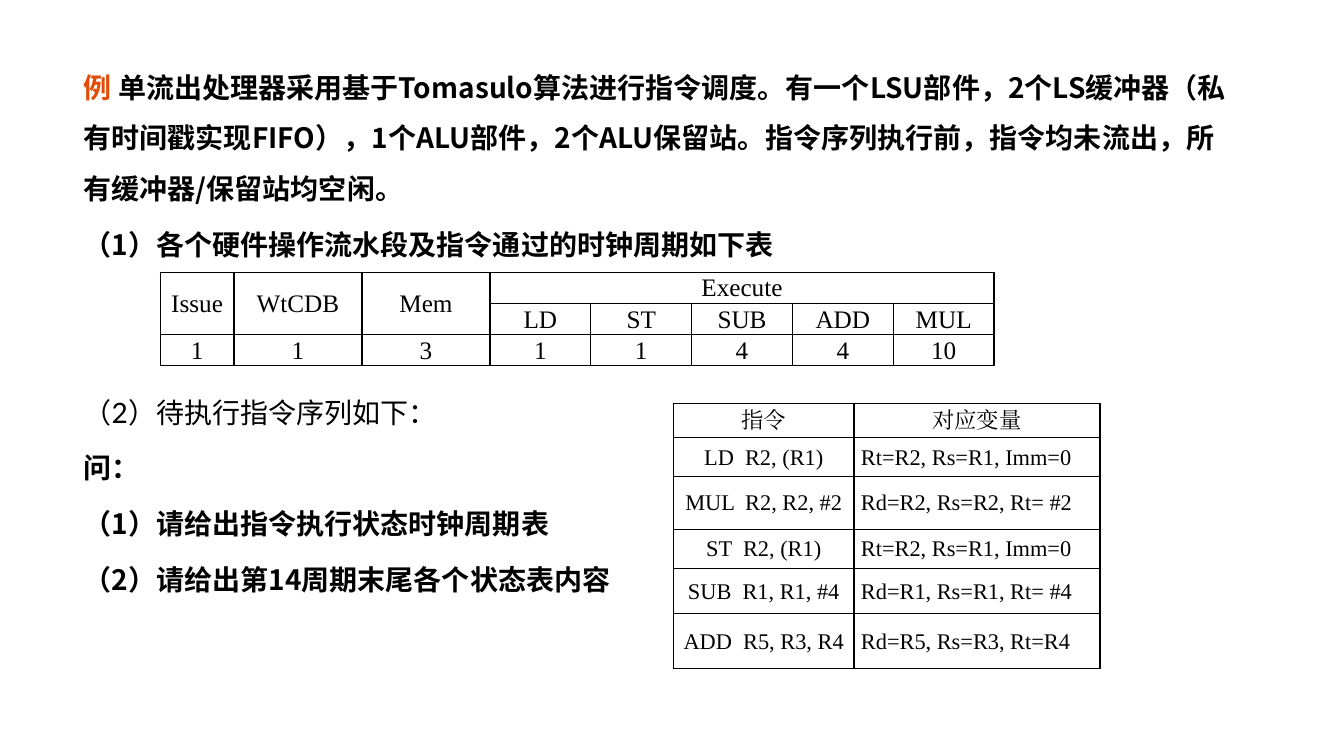
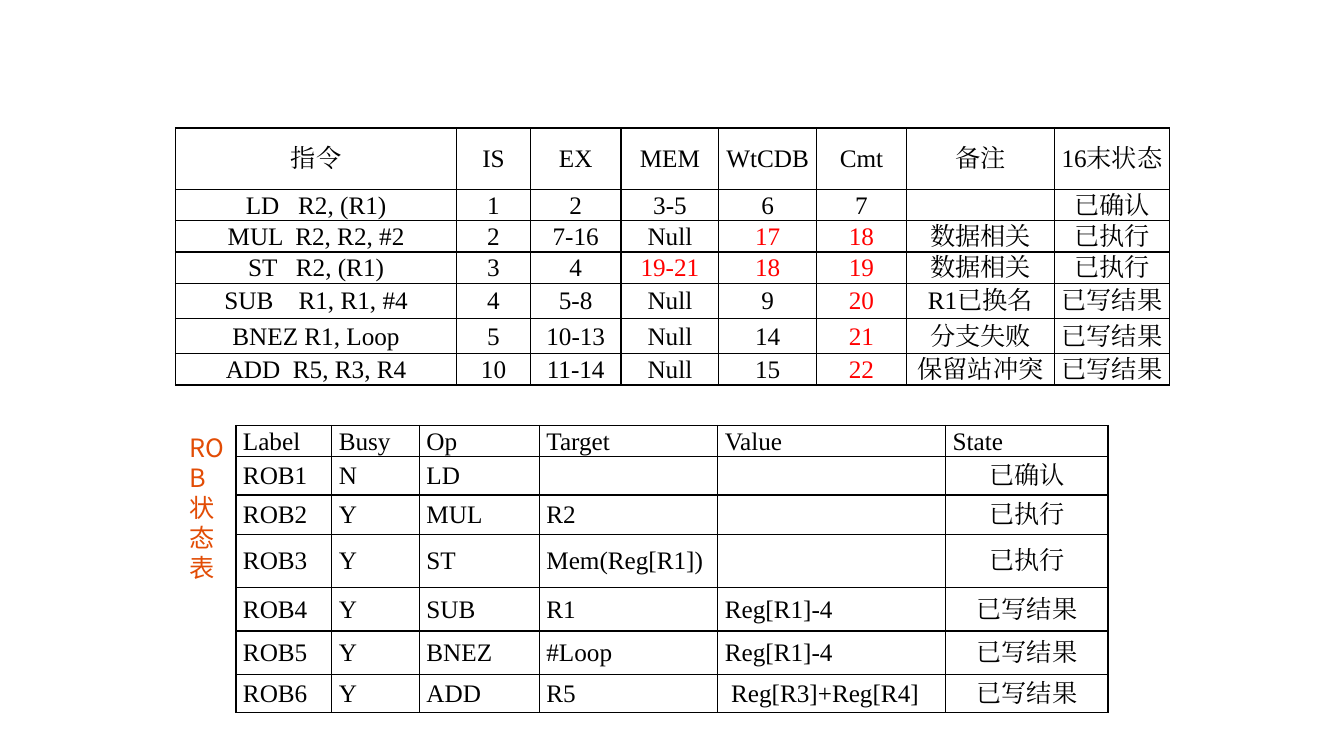
import dataclasses

import lxml.etree
import pptx
import pptx.dml.color
import pptx.enum.text
import pptx.oxml.ns
import pptx.util

Inches = pptx.util.Inches
Pt = pptx.util.Pt
qn = pptx.oxml.ns.qn
Align = pptx.enum.text.PP_ALIGN
Anchor = pptx.enum.text.MSO_ANCHOR


@dataclasses.dataclass(frozen=True)
class Theme:
    black: str = "000000"
    accent: str = "E24C05"
    late: str = "FF0000"
    text_font: str = "Noto Sans CJK SC"
    light_font: str = "Lato"
    table_font: str = "Times New Roman"
    body_size: int = 20
    table_size: int = 18
    small_size: int = 16
    body_line: int = 36
    label_line: float = 21.5
    paragraph_gap: int = 4


THEME = Theme()
LAST_CYCLE = 16  # cycles after this one are shown in red

# Slide 1 content
EXAMPLE_MARK = "例 "
EXAMPLE_TEXT = (
    "单流出处理器采用基于Tomasulo算法进行指令调度。有一个LSU部件，2个LS缓冲器"
    "（私有时间戳实现FIFO），1个ALU部件，2个ALU保留站。指令序列执行前，"
    "指令均未流出，所有缓冲器/保留站均空闲。"
)
STAGES_TEXT = "（1）各个硬件操作流水段及指令通过的时钟周期如下表"
SEQUENCE_TEXT = "（2）待执行指令序列如下："
QUESTIONS = [
    "问：",
    "（1）请给出指令执行状态时钟周期表",
    "（2）请给出第14周期末尾各个状态表内容",
]
STAGE_ROWS = [
    ["Issue", "WtCDB", "Mem", "Execute", "", "", "", ""],
    ["", "", "", "LD", "ST", "SUB", "ADD", "MUL"],
    ["1", "1", "3", "1", "1", "4", "4", "10"],
]
INSTRUCTION_ROWS = [
    ["指令", "对应变量"],
    ["LD  R2, (R1)", "Rt=R2, Rs=R1, Imm=0"],
    ["MUL  R2, R2, #2", "Rd=R2, Rs=R2, Rt= #2"],
    ["ST  R2, (R1)", "Rt=R2, Rs=R1, Imm=0"],
    ["SUB  R1, R1, #4", "Rd=R1, Rs=R1, Rt= #4"],
    ["ADD  R5, R3, R4", "Rd=R5, Rs=R3, Rt=R4"],
]

# Slide 2 content
CYCLE_ROWS = [
    ["指令", "IS", "EX", "MEM", "WtCDB", "Cmt", "备注", "16末状态"],
    ["LD   R2, (R1)", "1", "2", "3-5", "6", "7", "", "已确认"],
    ["MUL  R2, R2, #2", "2", "7-16", "Null", "17", "18", "数据相关", "已执行"],
    ["ST   R2, (R1)", "3", "4", "19-21", "18", "19", "数据相关", "已执行"],
    ["SUB    R1, R1, #4", "4", "5-8", "Null", "9", "20", "R1已换名", "已写结果"],
    ["BNEZ R1, Loop", "5", "10-13", "Null", "14", "21", "分支失败", "已写结果"],
    ["ADD  R5, R3, R4", "10", "11-14", "Null", "15", "22", "保留站冲突", "已写结果"],
]
ROB_ROWS = [
    ["Label", "Busy", "Op", "Target", "Value", "State"],
    ["ROB1", "N", "LD", "", "", "已确认"],
    ["ROB2", "Y", "MUL", "R2", "", "已执行"],
    ["ROB3", "Y", "ST", "Mem(Reg[R1])", "", "已执行"],
    ["ROB4", "Y", "SUB", "R1", "Reg[R1]-4", "已写结果"],
    ["ROB5", "Y", "BNEZ", "#Loop", "Reg[R1]-4", "已写结果"],
    ["ROB6", "Y", "ADD", "R5", " Reg[R3]+Reg[R4]", "已写结果"],
]


def rgb(color):
    return pptx.dml.color.RGBColor.from_string(color)


def style_paragraph(paragraph, font_name, size, color, bold=False):
    """Set one font for Latin and East Asian text of a paragraph."""
    font = paragraph.font
    font.name, font.size, font.bold = font_name, Pt(size), bold
    font.color.rgb = rgb(color)
    properties = paragraph._p.pPr.find(qn("a:defRPr"))
    east_asian = lxml.etree.Element(qn("a:ea"), typeface=font_name)
    properties.find(qn("a:latin")).addnext(east_asian)


def add_body_paragraph(paragraph, runs, hanging=True, font_name=THEME.text_font,
                       bold=True, before=THEME.paragraph_gap):
    """Fill a paragraph with (text, color) runs and no bullet."""
    properties = paragraph._p.get_or_add_pPr()
    indent = Inches(0.5) if hanging else 0
    properties.set("marL", str(indent))
    properties.set("indent", str(-indent))
    lxml.etree.SubElement(properties, qn("a:buNone"))
    paragraph.line_spacing = Pt(THEME.body_line)
    paragraph.space_before = Pt(before)
    paragraph.space_after = Pt(0)
    style_paragraph(paragraph, font_name, THEME.body_size, THEME.black, bold)
    for text, color in runs:
        run = paragraph.add_run()
        run.text = text
        if color != THEME.black:
            run.font.color.rgb = rgb(color)


def set_borders(cell):
    """Draw a thin black line on each side of a cell."""
    properties = cell._tc.get_or_add_tcPr()
    for position, side in enumerate(("a:lnL", "a:lnR", "a:lnT", "a:lnB")):
        line = lxml.etree.Element(qn(side), w=str(Pt(1)))
        fill = lxml.etree.SubElement(line, qn("a:solidFill"))
        lxml.etree.SubElement(fill, qn("a:srgbClr"), val=THEME.black)
        properties.insert(position, line)


def plain_color(text):
    return THEME.black


def cycle_color(text):
    start = text.split("-")[0]
    late = start.isdigit() and int(start) > LAST_CYCLE
    return THEME.late if late else THEME.black


def add_grid(slide, left, top, widths, heights, rows, size=THEME.table_size,
             justified=lambda row, column: False, color_of=plain_color,
             tight_columns=()):
    """Add a ruled table without fill and return it."""
    frame = slide.shapes.add_table(
        len(rows), len(widths), Inches(left), Inches(top),
        Inches(sum(widths)), Inches(sum(heights)))
    table = frame.table
    table.first_row = table.horz_banding = False
    for column, width in zip(table.columns, widths):
        column.width = Inches(width)
    for row, height in zip(table.rows, heights):
        row.height = Inches(height)
    for row_index, texts in enumerate(rows):
        for column_index, text in enumerate(texts):
            cell = table.cell(row_index, column_index)
            side = 0 if column_index in tight_columns else 0.07
            cell.margin_left = cell.margin_right = Inches(side)
            cell.margin_top, cell.margin_bottom = Inches(0.01), 0
            cell.vertical_anchor = Anchor.MIDDLE
            cell.fill.background()
            set_borders(cell)
            paragraph = cell.text_frame.paragraphs[0]
            paragraph.text = text
            paragraph.alignment = (
                Align.JUSTIFY if justified(row_index, column_index) else Align.CENTER)
            style_paragraph(paragraph, THEME.table_font, size, color_of(text))
    return table


def add_problem_text(slide):
    """Place the problem statement in the body placeholder."""
    title = slide.shapes.title
    title._element.getparent().remove(title._element)
    body = slide.placeholders[1]
    body.left, body.top = Inches(0.73), Inches(0.48)
    body.width, body.height = Inches(11.57), Inches(5.81)
    frame = body.text_frame
    frame.auto_size = pptx.enum.text.MSO_AUTO_SIZE.NONE
    frame.vertical_anchor = Anchor.TOP
    add_body_paragraph(
        frame.paragraphs[0],
        [(EXAMPLE_MARK, THEME.accent), (EXAMPLE_TEXT, THEME.black)],
        hanging=False, before=0)
    add_body_paragraph(frame.add_paragraph(), [(STAGES_TEXT, THEME.black)])
    # The gap leaves room for the stage table
    add_body_paragraph(frame.add_paragraph(), [(SEQUENCE_TEXT, THEME.black)],
                       font_name=THEME.light_font, bold=False, before=84)
    for question in QUESTIONS:
        add_body_paragraph(frame.add_paragraph(), [(question, THEME.black)])


def add_label(slide, text, left, top, width, height):
    box = slide.shapes.add_textbox(
        Inches(left), Inches(top), Inches(width), Inches(height))
    box.text_frame.word_wrap = True
    paragraph = box.text_frame.paragraphs[0]
    paragraph.text = text
    paragraph.line_spacing = Pt(THEME.label_line)
    style_paragraph(paragraph, THEME.text_font, THEME.table_size, THEME.accent)


def build_problem_slide(presentation):
    slide = presentation.slides.add_slide(presentation.slide_layouts[1])
    add_problem_text(slide)
    # Cycles per pipeline stage
    stages = add_grid(slide, 1.59, 2.7, [0.73, 1.27, 1.27] + [1] * 5,
                      [0.31] * 3, STAGE_ROWS)
    for column in range(3):
        stages.cell(0, column).merge(stages.cell(1, column))
    stages.cell(0, 3).merge(stages.cell(0, 7))
    # Instruction sequence
    add_grid(slide, 6.68, 4, [1.79, 2.44], [0.34, 0.39, 0.52, 0.39, 0.45, 0.54],
             INSTRUCTION_ROWS, size=THEME.small_size,
             justified=lambda row, column: row > 0 and column == 1)


def build_answer_slide(presentation):
    slide = presentation.slides.add_slide(presentation.slide_layouts[6])
    # Clock cycles of each instruction
    add_grid(slide, 1.74, 1.27, [2.79, 0.73, 0.9, 0.97, 0.97, 0.89, 1.47, 1.14],
             [0.61, 0.31, 0.31, 0.31, 0.35, 0.35, 0.31], CYCLE_ROWS,
             color_of=cycle_color, tight_columns=(6, 7))
    # Reorder buffer state
    add_grid(slide, 2.34, 4.22, [0.95, 0.87, 1.19, 1.77, 2.26, 1.61],
             [0.31, 0.38, 0.39, 0.53, 0.43, 0.43, 0.38], ROB_ROWS,
             justified=lambda row, column: row == 0 or column < 5)
    add_label(slide, "ROB状态表", 1.78, 4.24, 0.59, 1.31)


def main():
    presentation = pptx.Presentation()
    presentation.slide_width = Inches(13.33)
    presentation.slide_height = Inches(7.5)
    build_problem_slide(presentation)
    build_answer_slide(presentation)
    presentation.save("out.pptx")


if __name__ == "__main__":
    main()
